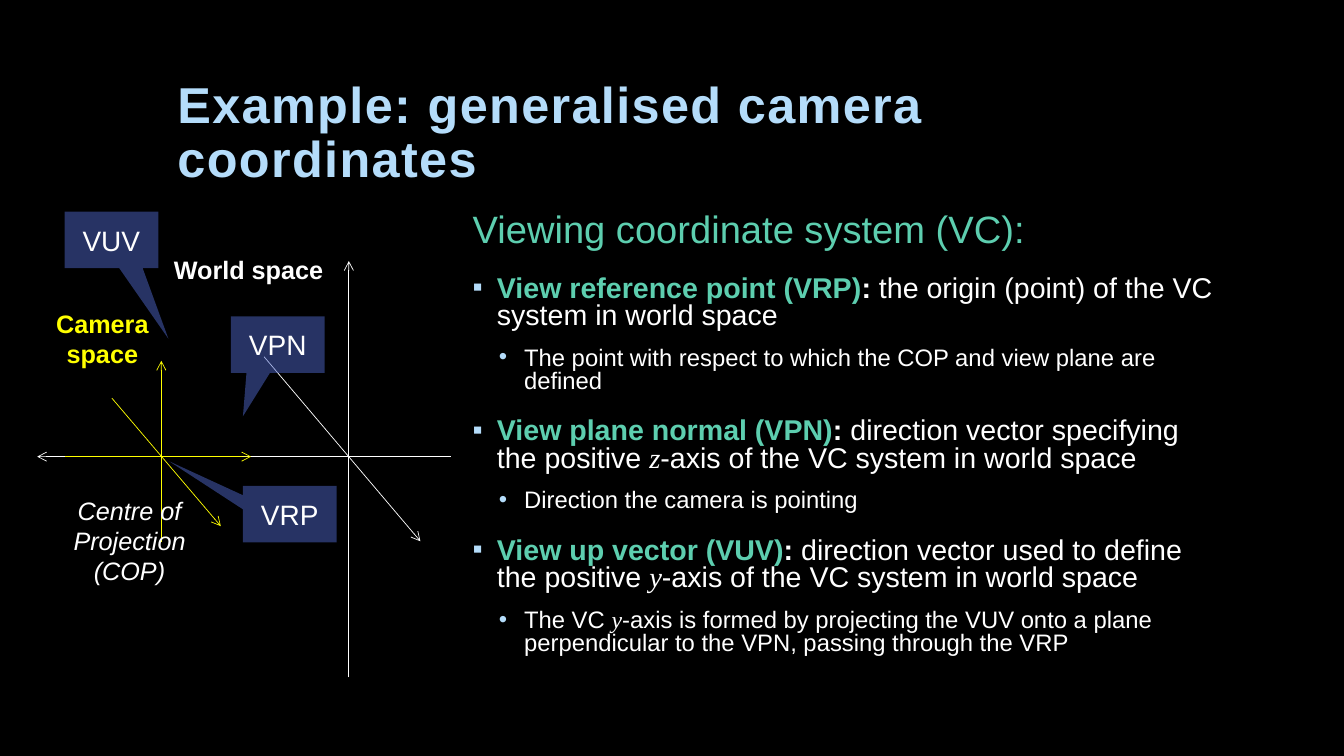
import pptx
import pptx.util
import pptx.dml.color
import pptx.enum.shapes
import pptx.enum.text
import pptx.oxml
import pptx.oxml.ns
import lxml.etree

Inches = pptx.util.Inches
Pt = pptx.util.Pt
ALIGN = pptx.enum.text.PP_ALIGN
ANCHOR = pptx.enum.text.MSO_ANCHOR

BLACK, WHITE, YELLOW = "000000", "FFFFFF", "FFFF00"
PALE_BLUE, GREEN, BLUE = "B4DCFA", "5DCEAF", "4E67C8"

TITLE = "Example: generalised camera coordinates"
HEADING = "Viewing coordinate system (VC):"
DEFINITIONS = [
    ("View reference point (VRP)",
     [" the origin (point) of the VC system in world space"],
     ["The point with respect to which the COP and view plane are defined"]),
    ("View plane normal (VPN)",
     [" direction vector specifying the positive ", "z",
      "-axis of the VC system in world space"],
     ["Direction the camera is pointing"]),
    ("View up vector (VUV)",
     [" direction vector used to define the positive ", "y",
      "-axis of the VC system in world space"],
     ["The VC ", "y", "-axis is formed by projecting the VUV onto a plane "
      "perpendicular to the VPN, passing through the VRP"]),
]
AXES = [
    (WHITE, [((4.47, 4.53), (0.37, 4.53)),
             ((3.46, 6.72), (3.46, 2.59)),
             ((2.62, 3.54), (4.17, 5.37))]),
    (YELLOW, [((0.64, 4.53), (2.49, 4.53)),
              ((1.6, 5.38), (1.6, 3.58)),
              ((1.11, 3.95), (2.19, 5.22))]),
]
SPACE_LABELS = [
    ("Centre of Projection (COP)", (0.37, 4.86, 1.83, 1.01), WHITE, False, True),
    ("Camera space", (0.12, 3.01, 1.79, 0.71), YELLOW, True, False),
    ("World space", (1.57, 2.47, 1.79, 0.4), WHITE, True, False),
]
CALLOUT_SIZE = (0.93, 0.56)
CALLOUTS = [
    ("VRP", (2.41, 4.82), (-1.286, -0.934)),
    ("VPN", (2.29, 3.14), (-0.371, 1.269)),
    ("VUV", (0.64, 2.1), (0.608, 1.752)),
]


def rgb(value):
    return pptx.dml.color.RGBColor.from_string(value)


def style(font, size, color, bold=False, italic=False, name="Arial"):
    font.size, font.bold, font.italic, font.name = Pt(size), bold, italic, name
    font.color.rgb = rgb(color)


def add_bullet(paragraph, char, margin, hanging):
    properties = paragraph._p.get_or_add_pPr()
    properties.set("marL", str(Inches(margin)))
    properties.set("indent", str(-Inches(hanging)))
    for xml in (f'<a:buClr %s><a:srgbClr val="{PALE_BLUE}"/></a:buClr>',
                '<a:buFont %s typeface="Arial"/>',
                f'<a:buChar %s char="{char}"/>'):
        properties.append(pptx.oxml.parse_xml(xml % pptx.oxml.ns.nsdecls("a")))


def add_phrases(paragraph, phrases, size):
    for index, phrase in enumerate(phrases):
        run = paragraph.add_run()
        run.text = phrase
        is_axis = index % 2 == 1
        style(run.font, size, WHITE, italic=is_axis,
              name="Times New Roman" if is_axis else "Arial")


def add_definition(frame, term, meaning, detail):
    definition = frame.add_paragraph()
    add_bullet(definition, "▪", 0.24, 0.24)
    definition.line_spacing, definition.space_before = 0.8, Pt(18)
    for text, color in ((term, GREEN), (":", WHITE)):
        run = definition.add_run()
        run.text = text
        style(run.font, 20.4, color, bold=True)
    add_phrases(definition, meaning, 20.4)

    explanation = frame.add_paragraph()
    explanation.level = 1
    add_bullet(explanation, "•", 0.51, 0.25)
    explanation.line_spacing, explanation.space_before = 0.8, Pt(12)
    add_phrases(explanation, detail, 17)


def add_axis(slide, start, end, color):
    axis = slide.shapes.add_connector(
        pptx.enum.shapes.MSO_CONNECTOR.STRAIGHT,
        *(Inches(value) for value in start + end))
    axis.line.color.rgb = rgb(color)
    axis.line.width = Pt(0.5)
    lxml.etree.SubElement(axis.line._get_or_add_ln(),
                          pptx.oxml.ns.qn("a:tailEnd"), type="arrow")
    lxml.etree.SubElement(axis._element.spPr, pptx.oxml.ns.qn("a:effectLst"))


def add_callout(slide, text, corner, pointer):
    callout = slide.shapes.add_shape(
        pptx.enum.shapes.MSO_SHAPE.RECTANGULAR_CALLOUT,
        *(Inches(value) for value in corner + CALLOUT_SIZE))
    callout.shadow.inherit = False
    callout.adjustments[0], callout.adjustments[1] = pointer
    callout.fill.solid()
    callout.fill.fore_color.rgb = rgb(BLUE)
    tint = callout._element.spPr.find(".//" + pptx.oxml.ns.qn("a:srgbClr"))
    lxml.etree.SubElement(tint, pptx.oxml.ns.qn("a:alpha"), val="50000")
    callout.line.fill.background()
    frame = callout.text_frame
    frame.text = text
    frame.vertical_anchor = ANCHOR.MIDDLE
    frame.paragraphs[0].alignment = ALIGN.CENTER
    style(frame.paragraphs[0].font, 20, WHITE)


def add_text_frame(slide, box):
    frame = slide.shapes.add_textbox(*(Inches(value) for value in box)).text_frame
    frame.word_wrap = True
    return frame


def main():
    deck = pptx.Presentation()
    deck.slide_width, deck.slide_height = Inches(13.33), Inches(7.5)
    slide = deck.slides.add_slide(deck.slide_layouts[5])
    slide.background.fill.solid()
    slide.background.fill.fore_color.rgb = rgb(BLACK)

    title = slide.shapes.title
    title.left, title.top = Inches(1.66), Inches(0.42)
    title.width, title.height = Inches(10), Inches(1.5)
    title.text_frame.text = TITLE
    title.text_frame.word_wrap = True
    title.text_frame.auto_size = pptx.enum.text.MSO_AUTO_SIZE.NONE
    title.text_frame.vertical_anchor = ANCHOR.BOTTOM
    headline = title.text_frame.paragraphs[0]
    headline.alignment, headline.line_spacing = ALIGN.LEFT, 0.9
    style(headline.font, 36, PALE_BLUE, bold=True)
    headline.runs[0]._r.get_or_add_rPr().set("spc", "100")

    definitions = add_text_frame(slide, (4.59, 2.08, 7.63, 4.74))
    definitions.text = HEADING
    definitions.paragraphs[0].line_spacing = 0.8
    style(definitions.paragraphs[0].font, 27.2, GREEN)
    for term, meaning, detail in DEFINITIONS:
        add_definition(definitions, term, meaning, detail)

    for color, axes in AXES:
        for start, end in axes:
            add_axis(slide, start, end, color)

    for text, box, color, bold, italic in SPACE_LABELS:
        label = add_text_frame(slide, box)
        label.text = text
        label.paragraphs[0].alignment = ALIGN.CENTER
        style(label.paragraphs[0].font, 18, color, bold, italic)

    for text, corner, pointer in CALLOUTS:
        add_callout(slide, text, corner, pointer)

    deck.save("out.pptx")


if __name__ == "__main__":
    main()
